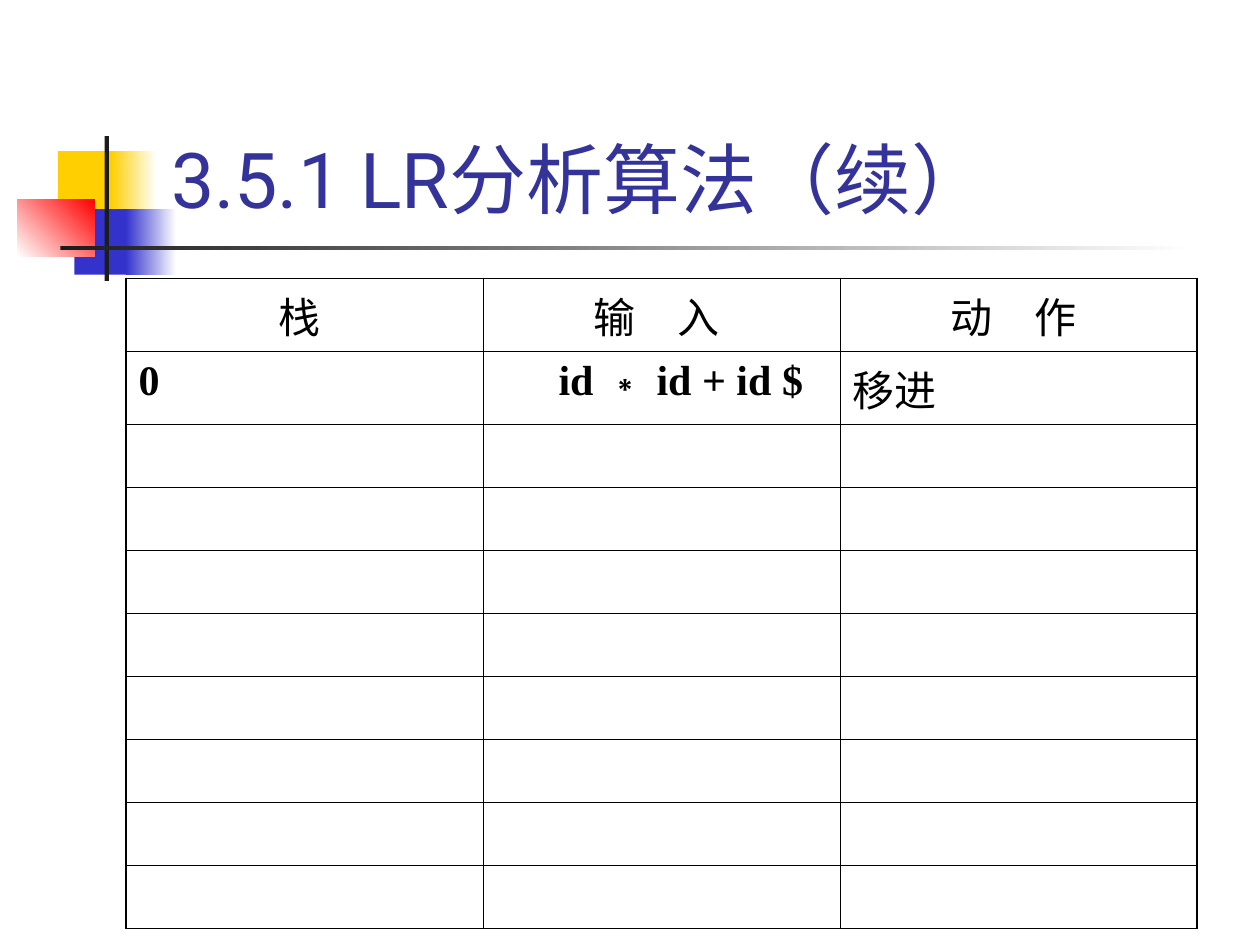
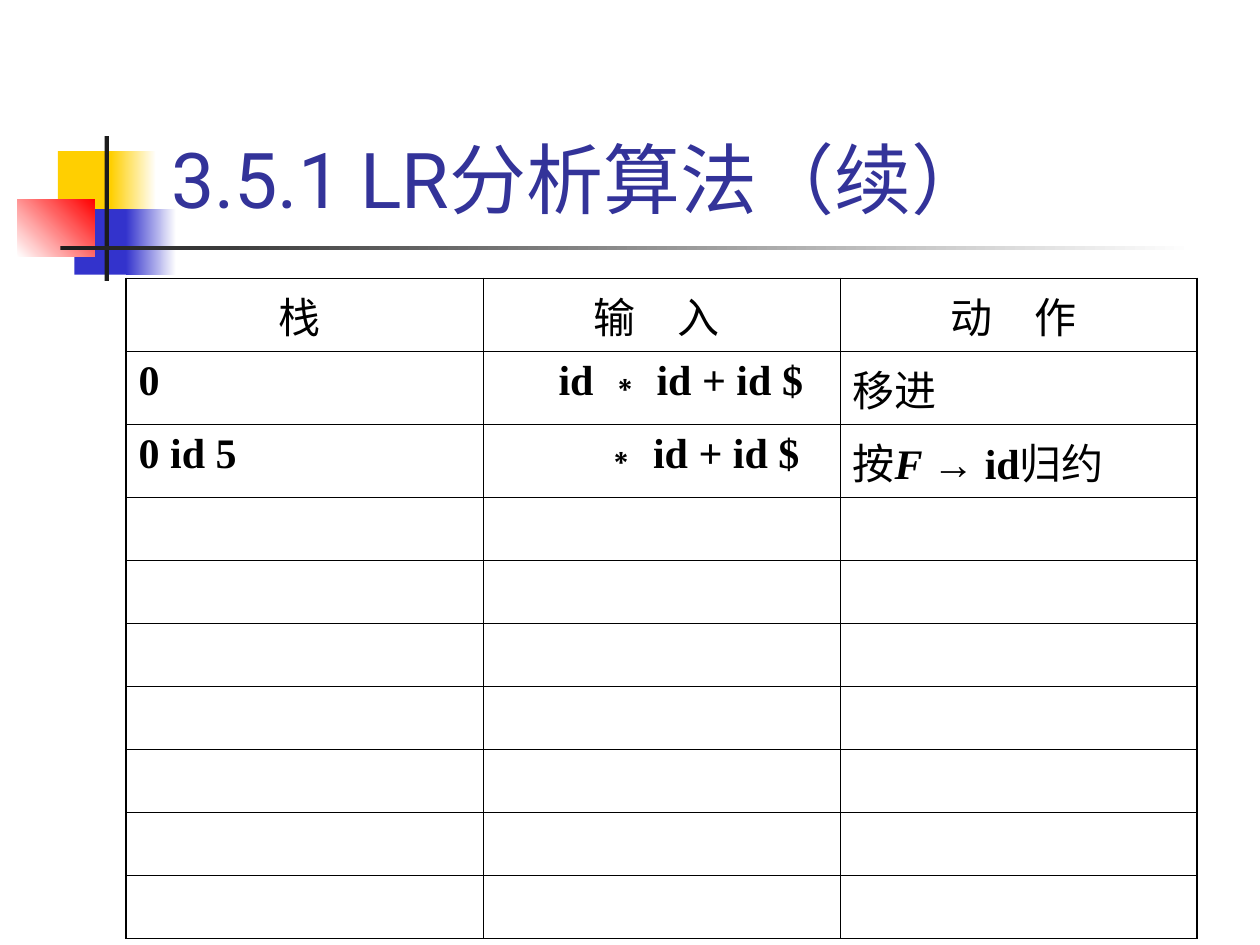
from lxml import etree
from pptx import Presentation
from pptx.dml.color import RGBColor
from pptx.enum.shapes import MSO_SHAPE
from pptx.enum.text import MSO_ANCHOR, PP_ALIGN
from pptx.oxml.ns import qn
from pptx.util import Inches, Pt

RECTANGLE = MSO_SHAPE.RECTANGLE
BOTTOM = MSO_ANCHOR.BOTTOM
CENTER, LEFT = PP_ALIGN.CENTER, PP_ALIGN.LEFT

SLIDE_W, SLIDE_H = 10, 7.5
GRID = 0.02
YELLOW, BLUE, RED = "FFCF01", "3333CC", "FF0000"
INK, WHITE, BLACK, TITLE_BLUE = "1C1C1C", "FFFFFF", "000000", "333399"
CJK, SERIF, SANS, HEADING = "Noto Sans CJK SC", "Times New Roman", "Arial", "Roboto"
THICK, THIN = 1.08, 0.45
TEXT_ROW, EMPTY_ROW, ROW_COUNT = 0.58, 0.5, 10
SPACE_WIDTH = 1 / 12

EMBLEM_BOX = (0.14, 1.08)
TITLE_BOX = (1.26, 0.23, 8.52, 1.6)
TABLE_BOX = (1, 2.21, 8.5)

EMBLEM_PARTS = [
    (16, 6, 24, 26, [YELLOW], 0),
    (37, 6, 18, 26, [YELLOW, WHITE], 0),
    (22.5, 29, 23, 26, [BLUE], 0),
    (43, 29, 20, 26, [BLUE, WHITE], 0),
    (0, 25, 30.5, 23, [WHITE, RED], 45),
    (34.5, 0, 1.75, 57.5, [INK], 0),
    (17, 43.5, 450, 1.75, [INK, WHITE], 0),
]

TITLE = "3.5.1 LR分析算法（续）"
HEADERS = ["栈 ", "输　入 ", "动　作 "]


def cjk(text):
    """Describe a span of Chinese text."""
    return text, {"font": CJK}


def code(text, italic=False):
    """Describe a bold serif span."""
    return text, {"font": SERIF, "bold": True, "italic": italic}


def symbol(text):
    """Describe a bold sans-serif symbol."""
    return text, {"font": SANS, "bold": True}


REST_OF_INPUT = [symbol("∗"), code(" id + id $")]
STEPS = [
    ([code("0")], [code("id "), *REST_OF_INPUT], 6, [cjk("移进")]),
    (
        [code("0 id 5")],
        REST_OF_INPUT,
        10,
        [cjk("按"), code("F ", italic=True), symbol("→"), code(" id"), cjk("归约")],
    ),
]


def color(value):
    """Turn a hex string into a colour."""
    return RGBColor.from_string(value)


def add_span(para, text, font=CJK, size=24, fill=BLACK, bold=False, italic=False):
    """Append formatted text to a paragraph."""
    span = para.add_run()
    span.text = text
    span.font.name = font
    span.font.size = Pt(size)
    span.font.bold = bold
    span.font.italic = italic
    span.font.color.rgb = color(fill)
    east_asian = etree.SubElement(span.font._element, qn("a:ea"))
    east_asian.set("typeface", CJK)


def add_emblem(page, left, top):
    """Place the coloured squares and the two rules."""
    for column, row, columns, rows, colors, angle in EMBLEM_PARTS:
        part = page.shapes.add_shape(
            RECTANGLE,
            Inches(left + column * GRID),
            Inches(top + row * GRID),
            Inches(columns * GRID),
            Inches(rows * GRID),
        )
        part.shadow.inherit = False
        part.line.fill.background()
        if len(colors) == 1:
            part.fill.solid()
            part.fill.fore_color.rgb = color(colors[0])
        else:
            part.fill.gradient()
            part.fill.gradient_angle = angle
            for stop, value in zip(part.fill.gradient_stops, colors):
                stop.color.rgb = color(value)


def add_title(page, box):
    """Place the heading at the bottom of its box."""
    frame = page.shapes.add_textbox(*map(Inches, box)).text_frame
    frame.word_wrap = True
    frame.vertical_anchor = BOTTOM
    add_span(frame.paragraphs[0], TITLE, font=HEADING, size=44, fill=TITLE_BLUE)


def set_borders(cell, widths):
    """Draw the left, right, top and bottom borders of a cell."""
    properties = cell._tc.get_or_add_tcPr()
    for index, (side, width) in enumerate(zip("LRTB", widths)):
        line = etree.Element(qn(f"a:ln{side}"), w=str(int(Pt(width))))
        fill = etree.SubElement(line, qn("a:solidFill"))
        etree.SubElement(fill, qn("a:srgbClr"), val=BLACK)
        properties.insert(index, line)


def fill_cell(cell, spans, align=LEFT, indent=0):
    """Write spans into a cell."""
    para = cell.text_frame.paragraphs[0]
    para.alignment = align
    if indent:
        para._p.get_or_add_pPr().set("marL", str(int(Inches(indent))))
    for text, style in spans:
        add_span(para, text, **style)


def add_trace_table(page, box, steps):
    """Place the parser trace, leaving later steps empty."""
    left, top, width = box
    heights = [TEXT_ROW if row <= len(steps) else EMPTY_ROW for row in range(ROW_COUNT)]
    area = (left, top, width, sum(heights))
    table = page.shapes.add_table(ROW_COUNT, len(HEADERS), *map(Inches, area)).table
    table.first_row = table.horz_banding = False
    for row, height in zip(table.rows, heights):
        row.height = Inches(height)
    last_row, last_column = ROW_COUNT - 1, len(HEADERS) - 1
    for row in range(ROW_COUNT):
        for column in range(len(HEADERS)):
            cell = table.cell(row, column)
            cell.fill.background()
            edges = (column == 0, column == last_column, row == 0, row == last_row)
            set_borders(cell, [THICK if edge else THIN for edge in edges])
    for column, header in enumerate(HEADERS):
        fill_cell(table.cell(0, column), [cjk(header)], align=CENTER)
    for row, (stack, remaining, spaces, action) in enumerate(steps, 1):
        fill_cell(table.cell(row, 0), stack)
        fill_cell(table.cell(row, 1), remaining, indent=spaces * SPACE_WIDTH)
        fill_cell(table.cell(row, 2), action)


def add_trace_page(deck, steps):
    """Add a slide that shows the trace so far."""
    page = deck.slides.add_slide(deck.slide_layouts[6])
    page.background.fill.solid()
    page.background.fill.fore_color.rgb = color(WHITE)
    add_emblem(page, *EMBLEM_BOX)
    add_title(page, TITLE_BOX)
    add_trace_table(page, TABLE_BOX, steps)


def main():
    """Build and save the deck."""
    deck = Presentation()
    deck.slide_width, deck.slide_height = Inches(SLIDE_W), Inches(SLIDE_H)
    for count in range(1, len(STEPS) + 1):
        add_trace_page(deck, STEPS[:count])
    deck.save("out.pptx")


if __name__ == "__main__":
    main()
